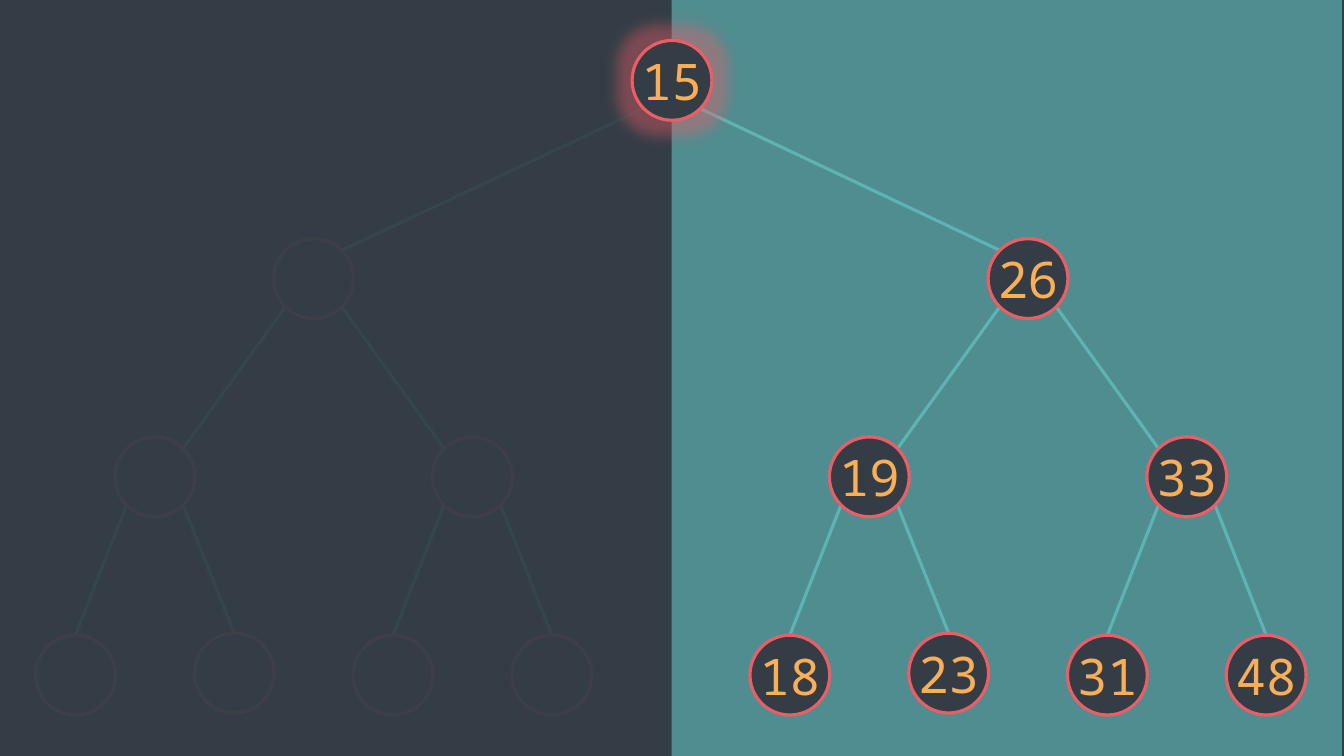
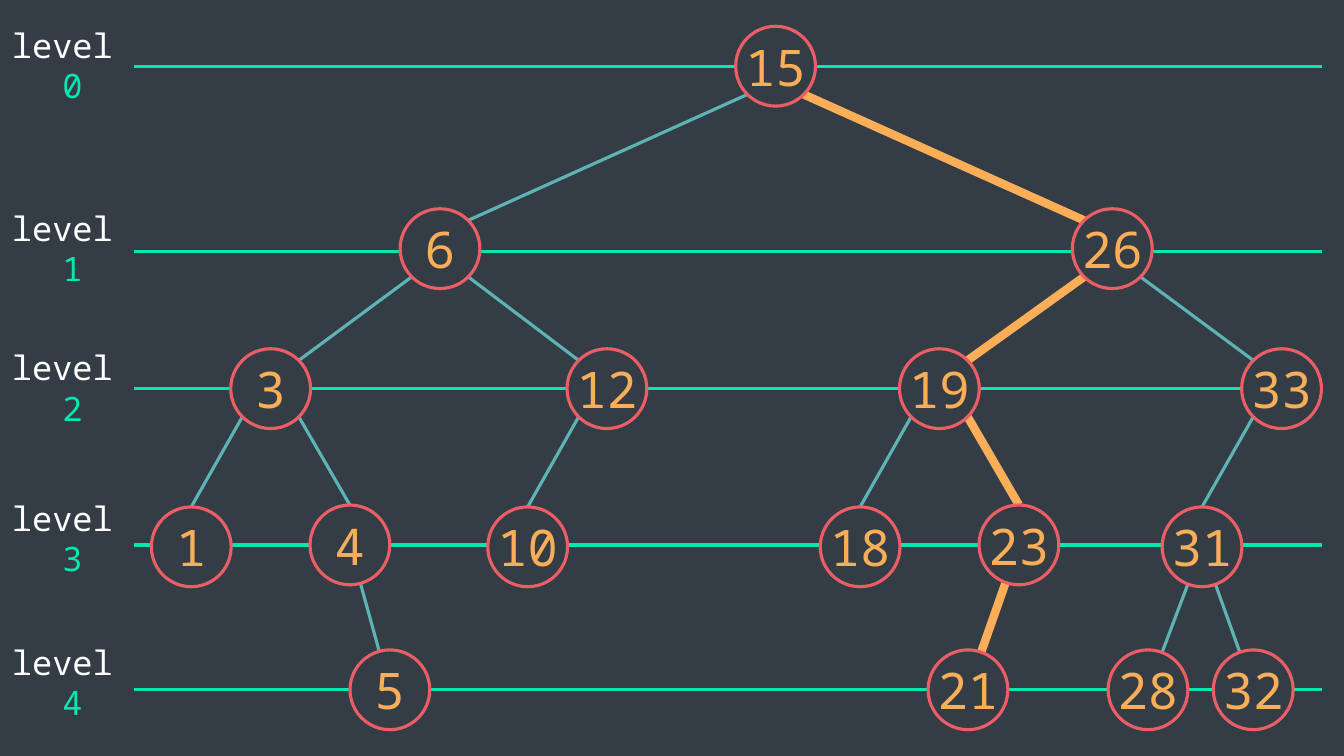
"""Build two slides that explain binary search trees."""
from dataclasses import dataclass
from typing import Optional

from lxml import etree
from pptx import Presentation
from pptx.dml.color import RGBColor
from pptx.enum.shapes import MSO_CONNECTOR, MSO_SHAPE
from pptx.enum.text import MSO_ANCHOR, MSO_AUTO_SIZE, PP_ALIGN
from pptx.oxml.ns import qn
from pptx.util import Pt

STRAIGHT = MSO_CONNECTOR.STRAIGHT
OVAL = MSO_SHAPE.OVAL
RECTANGLE = MSO_SHAPE.RECTANGLE
MIDDLE = MSO_ANCHOR.MIDDLE
CENTER = PP_ALIGN.CENTER
FIT_SHAPE = MSO_AUTO_SIZE.SHAPE_TO_FIT_TEXT
BLANK_LAYOUT = 6


@dataclass(frozen=True)
class Theme:
    """Colours, type sizes and line widths in points."""
    background: str = "343D46"
    ring: str = "EC5E66"
    value: str = "F9AE57"
    link: str = "5EB4B4"
    level: str = "00E9B1"
    label: str = "FFFFFF"
    font: str = "Noto Sans Mono"
    value_size: int = 36
    label_size: int = 24
    thin: float = 2.25
    thick: float = 6


@dataclass
class Node:
    """A tree node, placed by its centre in points."""
    value: int
    x: float
    y: float
    level: int
    parent: Optional[int] = None


THEME = Theme()
SLIDE_WIDTH, SLIDE_HEIGHT = 960, 540
DIAMETER = 57
DIAGONAL = 20.2
RAISE = 1.4
HALF_WIDTH = 478.8

FULL_ROWS = [[15], [6, 26], [3, 12, 19, 33], [2, 5, 10, 13, 18, 23, 31, 48]]
FULL_RAISED = {5, 23}
FULL_TOP, FULL_STEP = 57.4, 141.6
LEAF_LEFT, LEAF_STEP, HALF_STEP = 53.9, 113.4, 510.3

LEVEL_CENTERS = [47.3, 177.6, 277.6, 390.6, 492.7]
LEVEL_LINES = [47.5, 179.5, 277.3, 389.3, 492.5]
LEVEL_LABELS = [14.2, 144.7, 244.5, 352.1, 455]
LEVEL_LEFT, LEVEL_RIGHT = 95.8, 944.3
DEEP_RAISED = {4, 23}
DEEP_PATH = {26, 19, 23, 21}
DEEP_ROWS = [
    [(15, 554, None)],
    [(6, 314.3, 15), (26, 794.5, 15)],
    [(3, 193.3, 6), (12, 433.5, 6), (19, 671, 26), (33, 915.4, 26)],
    [(1, 136.6, 3), (4, 249.9, 3), (10, 376.9, 12), (18, 614.4, 19),
     (23, 727.8, 19), (31, 858.6, 33)],
    [(5, 278.5, 4), (21, 691.4, 23), (28, 820, 31), (32, 895.2, 31)],
]


def color(value):
    """Turn a hex string into a colour."""
    return RGBColor.from_string(value)


def add_slide(presentation):
    """Add a blank slide with the shared background."""
    slide = presentation.slides.add_slide(presentation.slide_layouts[BLANK_LAYOUT])
    slide.background.fill.solid()
    slide.background.fill.fore_color.rgb = color(THEME.background)
    return slide


def set_alpha(color_element, percent):
    """Set the opacity of a colour element."""
    etree.SubElement(color_element, qn("a:alpha")).set("val", str(percent * 1000))


def add_filled_shape(slide, kind, left, top, width, height, fill):
    """Add a plain filled shape without shadow."""
    shape = slide.shapes.add_shape(kind, Pt(left), Pt(top), Pt(width), Pt(height))
    shape.shadow.inherit = False
    shape.fill.solid()
    shape.fill.fore_color.rgb = color(fill)
    return shape


def add_veil(slide, left, fill, opacity):
    """Cover half of the slide with a translucent panel."""
    shape = add_filled_shape(slide, RECTANGLE, left, 0, HALF_WIDTH, SLIDE_HEIGHT, fill)
    shape.line.fill.background()
    set_alpha(shape._element.spPr.find(qn("a:solidFill"))[0], opacity)


def add_line(slide, start, end, line_color, width=THEME.thin):
    """Draw a straight line between two points."""
    connector = slide.shapes.add_connector(STRAIGHT, *map(Pt, start + end))
    connector.line.color.rgb = color(line_color)
    connector.line.width = Pt(width)
    etree.SubElement(connector._element.spPr, qn("a:effectLst"))


def write_run(paragraph, text, size, text_color):
    """Write one centred run."""
    paragraph.alignment = CENTER
    run = paragraph.add_run()
    run.text = text
    run.font.name = THEME.font
    run.font.size = Pt(size)
    run.font.color.rgb = color(text_color)


def add_ring(slide, node):
    """Draw the ringed circle of a node."""
    shape = add_filled_shape(slide, OVAL, node.x - DIAMETER / 2, node.y - DIAMETER / 2,
                             DIAMETER, DIAMETER, THEME.background)
    shape.line.color.rgb = color(THEME.ring)
    shape.line.width = Pt(THEME.thin)
    return shape


def add_node(slide, node):
    """Draw a ringed circle holding the value of a node."""
    shape = add_ring(slide, node)
    frame = shape.text_frame
    frame.word_wrap = False
    frame.vertical_anchor = MIDDLE
    write_run(frame.paragraphs[0], str(node.value), THEME.value_size, THEME.value)
    return shape


def add_glow(shape, radius, opacity):
    """Surround a shape with a soft glow."""
    effects = shape._element.spPr.find(qn("a:effectLst"))
    glow = etree.SubElement(effects, qn("a:glow"))
    glow.set("rad", str(Pt(radius)))
    glow_color = etree.SubElement(glow, qn("a:srgbClr"))
    glow_color.set("val", THEME.ring)
    set_alpha(glow_color, opacity)


def add_link(slide, parent, child, highlighted):
    """Link a parent to its child, with ends that suit the child's level."""
    side = DIAGONAL if child.x > parent.x else -DIAGONAL
    start = (parent.x + side, parent.y + DIAGONAL)
    if child.level < 3:
        end = (child.x - side, child.y - DIAGONAL)
    elif child.level == 3:
        end = (child.x, child.y - DIAMETER / 2)
    else:
        start, end = (parent.x, parent.y), (child.x, child.y)
    if highlighted:
        add_line(slide, start, end, THEME.value, THEME.thick)
    else:
        add_line(slide, start, end, THEME.link)


def add_links(slide, nodes, path=frozenset()):
    """Draw every link, with those that lead to a node of the path in bold."""
    by_value = {node.value: node for node in nodes}
    for node in nodes:
        if node.parent is not None:
            add_link(slide, by_value[node.parent], node, node.value in path)


def full_tree():
    """Lay out a complete tree over evenly spaced leaves, root last."""
    centers = [LEAF_LEFT + HALF_STEP * half + LEAF_STEP * leaf
               for half in range(2) for leaf in range(4)]
    nodes = []
    for level in reversed(range(len(FULL_ROWS))):
        for index, value in enumerate(FULL_ROWS[level]):
            parent = FULL_ROWS[level - 1][index // 2] if level else None
            y = FULL_TOP + FULL_STEP * level - RAISE * (value in FULL_RAISED)
            nodes.append(Node(value, centers[index], y, level, parent))
        centers = [sum(pair) / 2 for pair in zip(centers[::2], centers[1::2])]
    nodes[-1].x = SLIDE_WIDTH / 2
    return nodes


def deep_tree():
    """Place the nodes of the five-level tree."""
    return [Node(value, x, LEVEL_CENTERS[level] - RAISE * (value in DEEP_RAISED),
                 level, parent)
            for level, row in enumerate(DEEP_ROWS) for value, x, parent in row]


def add_level_label(slide, level, top):
    """Write the name and number of a level."""
    box = slide.shapes.add_textbox(Pt(1), Pt(top), Pt(101.5), Pt(65.4))
    frame = box.text_frame
    frame.word_wrap = True
    frame.auto_size = FIT_SHAPE
    write_run(frame.paragraphs[0], "level ", THEME.label_size, THEME.label)
    write_run(frame.add_paragraph(), str(level), THEME.label_size, THEME.level)


def build_half_slide(presentation):
    """Show the right half of a tree while the left half is dimmed."""
    slide = add_slide(presentation)
    add_veil(slide, 479.7, THEME.link, 68)
    *descendants, root = full_tree()
    add_links(slide, [*descendants, root])
    for node in descendants:
        draw = add_ring if node.x < root.x else add_node
        draw(slide, node)
    add_veil(slide, 0, THEME.background, 94)
    add_glow(add_node(slide, root), 20, 40)


def build_level_slide(presentation):
    """Show the levels of a tree and a path down through them."""
    slide = add_slide(presentation)
    for y in LEVEL_LINES:
        add_line(slide, (LEVEL_LEFT, y), (LEVEL_RIGHT, y), THEME.level)
    nodes = deep_tree()
    add_links(slide, nodes, DEEP_PATH)
    for node in nodes:
        add_node(slide, node)
    for level, top in enumerate(LEVEL_LABELS):
        add_level_label(slide, level, top)


def main():
    """Build and save the presentation."""
    presentation = Presentation()
    presentation.slide_width = Pt(SLIDE_WIDTH)
    presentation.slide_height = Pt(SLIDE_HEIGHT)
    build_half_slide(presentation)
    build_level_slide(presentation)
    presentation.save("out.pptx")


if __name__ == "__main__":
    main()
